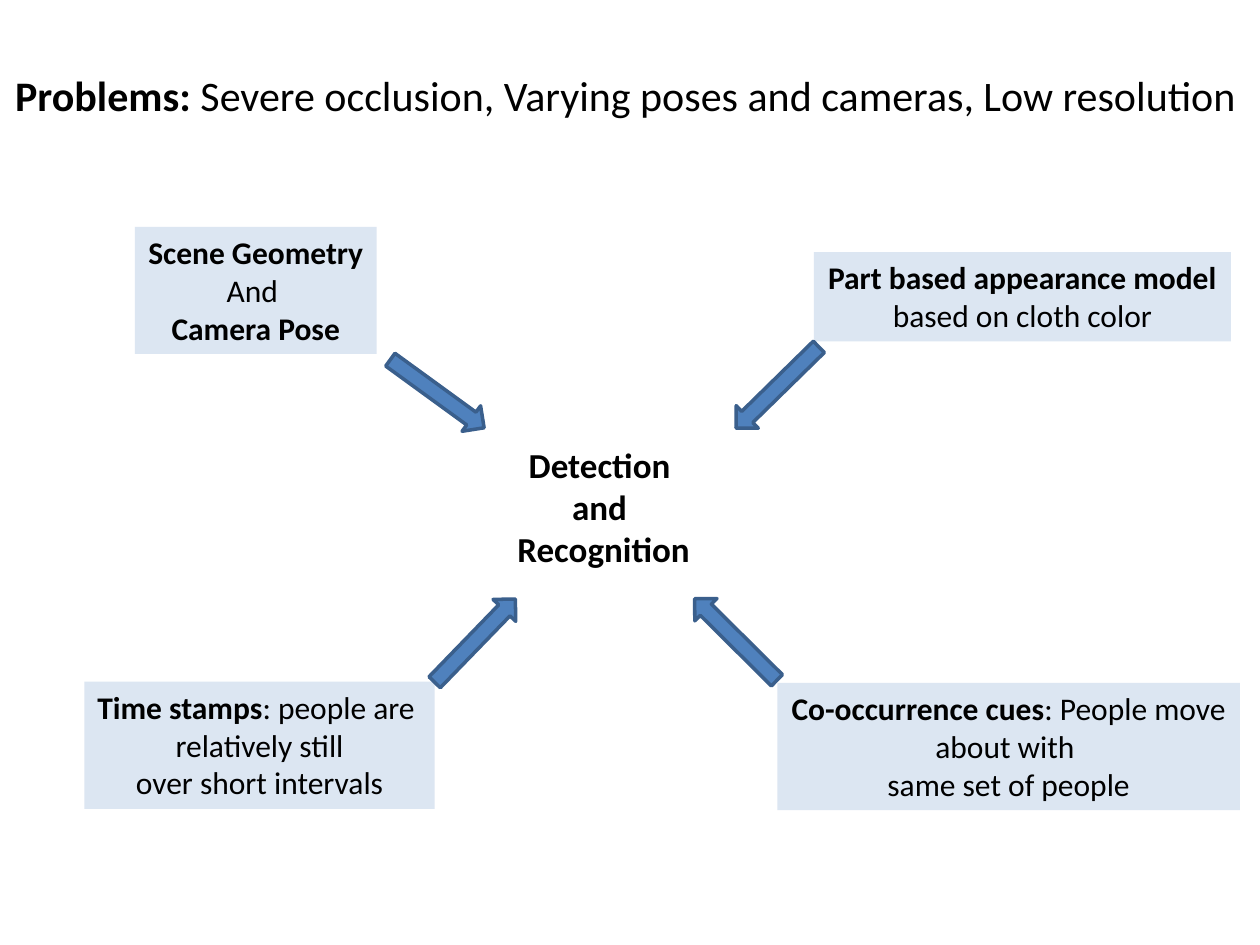
from pptx import Presentation
from pptx.dml.color import RGBColor
from pptx.enum import shapes, text
from pptx.util import Inches, Pt

FONT = "Calibri"
COLORS = {"text": "000000", "box": "DCE6F2", "arrow": "4F81BD", "edge": "3A5F8C"}

# Each text is a list of lines, each line a list of (words, bold) runs
TITLE = [[("Problems:", True),
          (" Severe occlusion, Varying poses and cameras, Low resolution", False)]]
GOAL = [[("Detection ", True)], [("and ", True)], [("Recognition", True)]]
CUES = [
    ((1.07, 1.8, 1.92, 1.01),
     [[("Scene Geometry", True)], [("And ", False)], [("Camera Pose", True)]]),
    ((6.46, 2, 3.31, 0.71),
     [[("Part based appearance model", True)], [("based on cloth color", False)]]),
    ((0.67, 5.41, 2.78, 1.01),
     [[("Time stamps", True), (": people are ", False)],
      [("relatively still", False)], [("over short intervals", False)]]),
    ((6.17, 5.42, 3.67, 1.01),
     [[("Co-occurrence cues", True), (": People move", False)],
      [("about with ", False)], [("same set of people", False)]]),
]
ARROW_SIZE = (0.92, 0.25)
ARROWS = [  # left, top, rotation
    (3.01, 3, 36), (5.71, 2.95, 135.6), (3.31, 4.96, 314.1), (5.38, 4.95, 224.8),
]


def rgb(name):
    return RGBColor.from_string(COLORS[name])


def inches(values):
    return [Inches(v) for v in values]


def write(sp, lines, size, align=text.PP_ALIGN.CENTER):
    tf = sp.text_frame
    tf.word_wrap = False
    tf.auto_size = text.MSO_AUTO_SIZE.SHAPE_TO_FIT_TEXT
    tf.vertical_anchor = text.MSO_ANCHOR.TOP
    for i, line in enumerate(lines):
        p = tf.add_paragraph() if i else tf.paragraphs[0]
        p.alignment = align
        for words, bold in line:
            r = p.add_run()
            r.text = words
            r.font.name, r.font.size, r.font.bold = FONT, Pt(size), bold
            r.font.color.rgb = rgb("text")


def add_filled(s, kind, at, fill):
    sp = s.shapes.add_shape(kind, *inches(at))
    sp.shadow.inherit = False
    sp.fill.solid()
    sp.fill.fore_color.rgb = rgb(fill)
    return sp


def main():
    prs = Presentation()
    prs.slide_width, prs.slide_height = Inches(10), Inches(7.5)
    s = prs.slides.add_slide(prs.slide_layouts[5])

    title = s.shapes.title
    title.left, title.top, title.width, title.height = inches((0.02, 0.5, 9.98, 0.5))
    write(title, TITLE, 24, text.PP_ALIGN.LEFT)

    for at, lines in CUES:
        box = add_filled(s, shapes.MSO_SHAPE.RECTANGLE, at, "box")
        box.line.fill.background()
        write(box, lines, 18)

    write(s.shapes.add_textbox(*inches((4, 3.47, 1.58, 1.11))), GOAL, 20)

    for left, top, rotation in ARROWS:
        arrow = add_filled(s, shapes.MSO_SHAPE.RIGHT_ARROW,
                           (left, top, *ARROW_SIZE), "arrow")
        arrow.rotation = rotation
        arrow.line.color.rgb = rgb("edge")
        arrow.line.width = Pt(2)

    prs.save("out.pptx")


if __name__ == "__main__":
    main()
